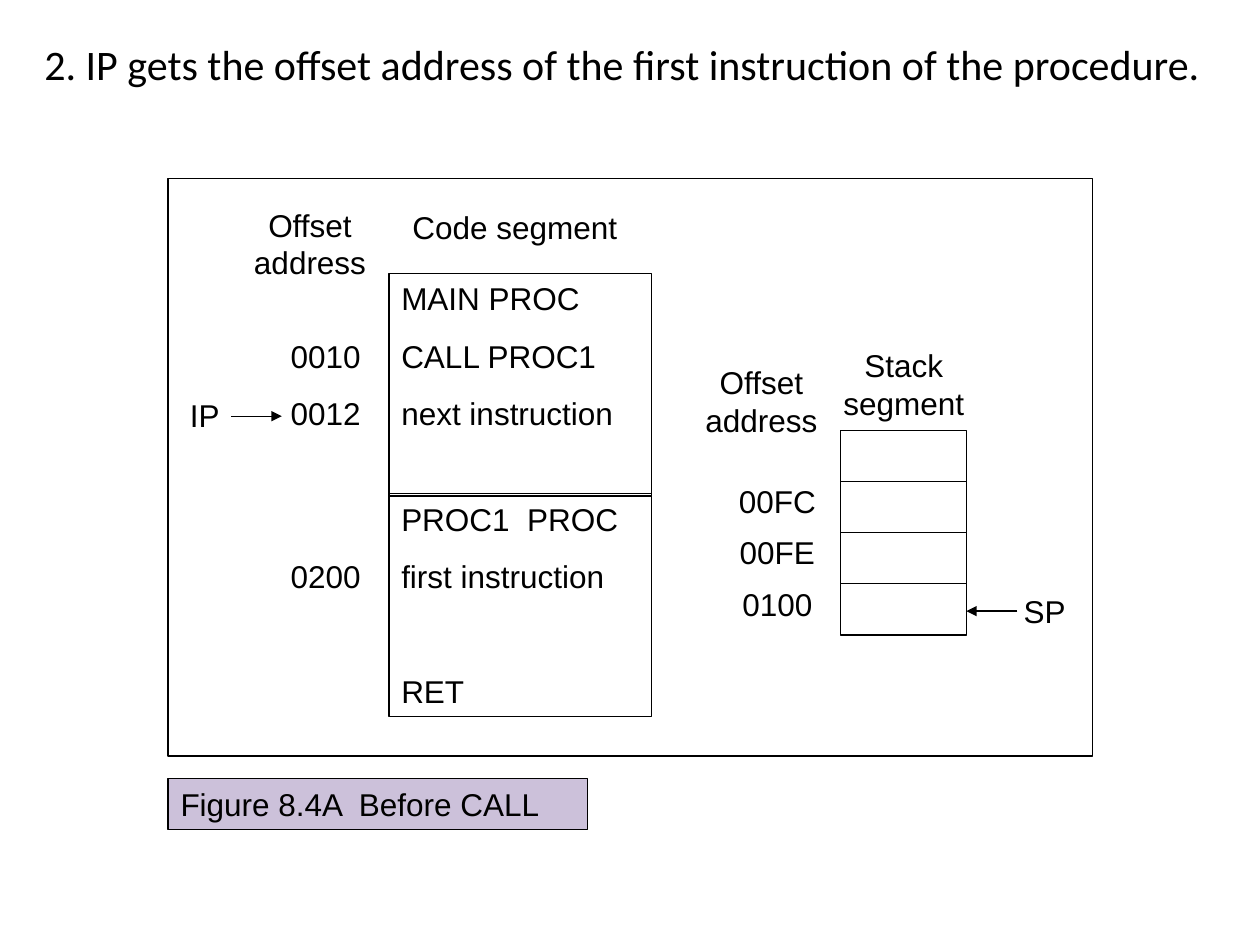
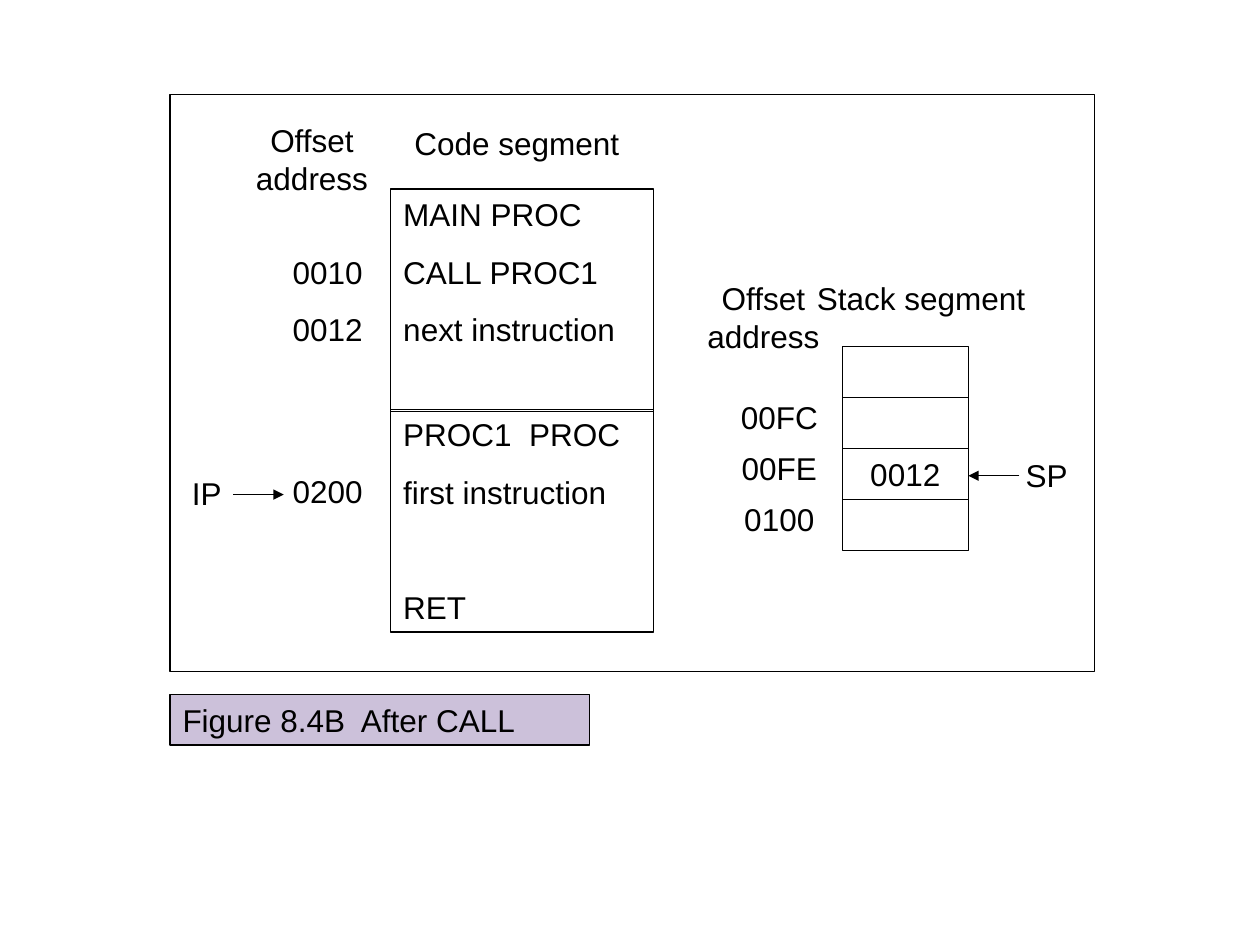
from lxml import etree
from pptx import Presentation
from pptx.dml.color import RGBColor
from pptx.enum.shapes import MSO_CONNECTOR, MSO_SHAPE
from pptx.enum.text import MSO_ANCHOR, PP_ALIGN
from pptx.oxml.ns import qn
from pptx.util import Cm, Pt

COLORS = {"ink": "000000", "caption": "CCC1DA"}
TITLE_ONLY, BLANK = 5, 6
PARAGRAPH_GAP = 11.2
SKIPPED_LINE_GAP = 44

CODE_LEFT, CODE_WIDTH, CODE_HEIGHT = 4.45, 5.29, 4.49
STACK_LEFT, STACK_TOP, CELL_WIDTH, CELL_HEIGHT = 13.55, 5.08, 2.54, 1.03
LABEL_HEIGHT, HEADING_HEIGHT = 1.02, 1.78
CODE_BLOCKS = [
    (1.91, [("MAIN PROC", 0), ("CALL PROC1", PARAGRAPH_GAP),
            ("next instruction", PARAGRAPH_GAP)]),
    (6.35, [("PROC1  PROC", 0), ("first instruction", PARAGRAPH_GAP),
            ("RET", SKIPPED_LINE_GAP)]),
]
CODE_OFFSETS = {"0010": 3.07, "0012": 4.22, "0200": 7.5}
STACK_OFFSETS = ["00FC", "00FE", "0100"]


def rgb(name):
    return RGBColor.from_string(COLORS[name])


class Diagram:
    """Draws on the current slide; positions are in cm from the figure's corner."""

    def __init__(self, deck, font="Arial", size=18):
        self.deck, self.font, self.size = deck, font, size

    def new_slide(self, layout, left, top):
        self.slide = self.deck.slides.add_slide(self.deck.slide_layouts[layout])
        self.left, self.top = left, top

    def place(self, x, y):
        return Cm(self.left + x), Cm(self.top + y)

    def add_run(self, paragraph, words, font=None, size=None):
        run = paragraph.add_run()
        run.text = words
        run.font.name = font or self.font
        run.font.size = Pt(size or self.size)
        run.font.color.rgb = rgb("ink")

    def title(self, words):
        title = self.slide.shapes.title
        title.left, title.top, title.width, title.height = Cm(0.64), Cm(0.64), Cm(24.13), Cm(1.47)
        title.text_frame.vertical_anchor = MSO_ANCHOR.TOP
        title.text_frame.word_wrap = True
        paragraph = title.text_frame.paragraphs[0]
        paragraph.alignment = PP_ALIGN.JUSTIFY
        self.add_run(paragraph, words, "Calibri", 24)

    def fill_text(self, frame, lines, align):
        """Fill a frame with (words, space before) paragraphs."""
        frame.word_wrap = True
        frame.vertical_anchor = MSO_ANCHOR.TOP
        for index, (words, gap) in enumerate(lines):
            paragraph = frame.add_paragraph() if index else frame.paragraphs[0]
            paragraph.alignment = align
            paragraph.space_before = Pt(gap)
            for row, part in enumerate(words.split("\n")):
                if row:
                    paragraph.add_line_break()
                self.add_run(paragraph, part)

    def box(self, x, y, width, height, lines=(), fill=None, align=PP_ALIGN.LEFT):
        box = self.slide.shapes.add_shape(
            MSO_SHAPE.RECTANGLE, *self.place(x, y), Cm(width), Cm(height))
        box.shadow.inherit = False
        if fill:
            box.fill.solid()
            box.fill.fore_color.rgb = rgb(fill)
        else:
            box.fill.background()
        box.line.color.rgb = rgb("ink")
        box.line.width = Pt(0.75)
        self.fill_text(box.text_frame, lines, align)

    def label(self, words, x, y, width, height=LABEL_HEIGHT):
        label = self.slide.shapes.add_textbox(*self.place(x, y), Cm(width), Cm(height))
        self.fill_text(label.text_frame, [(words, 0)], PP_ALIGN.CENTER)

    def arrow(self, start, end, y):
        arrow = self.slide.shapes.add_connector(
            MSO_CONNECTOR.STRAIGHT, *self.place(start, y), *self.place(end, y))
        arrow.line.color.rgb = rgb("ink")
        arrow.line.width = Pt(0.75)
        properties = arrow._element.spPr
        etree.SubElement(properties.find(qn("a:ln")), qn("a:tailEnd"), type="triangle")
        etree.SubElement(properties, qn("a:effectLst"))


def draw_code_segment(diagram, ip_offset):
    for top, lines in CODE_BLOCKS:
        diagram.box(CODE_LEFT, top, CODE_WIDTH, CODE_HEIGHT, lines)
    diagram.label("Offset address", 1.27, 0.42, 3.18, HEADING_HEIGHT)
    diagram.label("Code segment", CODE_LEFT, 0.47, 5.08)
    for offset, top in CODE_OFFSETS.items():
        diagram.label(offset, 2.12, top, 2.11)
    ip_top = CODE_OFFSETS[ip_offset] + 0.03
    diagram.label("IP", 0, ip_top, 1.48)
    diagram.arrow(1.27, 2.29, ip_top + 0.54)


def draw_stack_segment(diagram, cells, sp_row, heading, heading_left, heading_top):
    diagram.label("Offset address", 10.37, 3.6, 3.18, HEADING_HEIGHT)
    diagram.label(heading, heading_left, heading_top, 4.88, HEADING_HEIGHT)
    for row, value in enumerate(cells):
        lines = [(value, 0)] if value else []
        diagram.box(STACK_LEFT, STACK_TOP + row * CELL_HEIGHT, CELL_WIDTH, CELL_HEIGHT,
                    lines, align=PP_ALIGN.CENTER)
    for row, offset in enumerate(STACK_OFFSETS):
        diagram.label(offset, 11.01, 6 + row * CELL_HEIGHT, CELL_WIDTH)
    sp_top = STACK_TOP + sp_row * CELL_HEIGHT + 0.03
    diagram.label("SP", 16.93, sp_top, 1.48)
    diagram.arrow(17.12, STACK_LEFT + CELL_WIDTH, sp_top + 0.52)


def draw_figure(diagram, caption, ip_offset, **stack):
    diagram.box(0, 0, 18.63, 11.64)
    draw_code_segment(diagram, ip_offset)
    draw_stack_segment(diagram, **stack)
    diagram.box(0, 12.1, 8.46, LABEL_HEIGHT, [(caption, 0)], fill="caption")


def main():
    deck = Presentation()
    deck.slide_width, deck.slide_height = Cm(25.4), Cm(19.05)
    diagram = Diagram(deck)

    diagram.new_slide(TITLE_ONLY, 3.39, 3.6)
    diagram.title("2. IP gets the offset address of the first instruction of the procedure.")
    draw_figure(diagram, "Figure 8.4A  Before CALL", "0012", cells=["", "", "", ""], sp_row=3,
                heading="Stack\nsegment", heading_left=12.39, heading_top=3.25)

    diagram.new_slide(BLANK, 3.43, 1.9)
    draw_figure(diagram, "Figure 8.4B  After CALL", "0200", cells=["", "", "0012", ""], sp_row=2,
                heading="Stack segment", heading_left=12.7, heading_top=3.6)

    deck.save("out.pptx")


if __name__ == "__main__":
    main()
